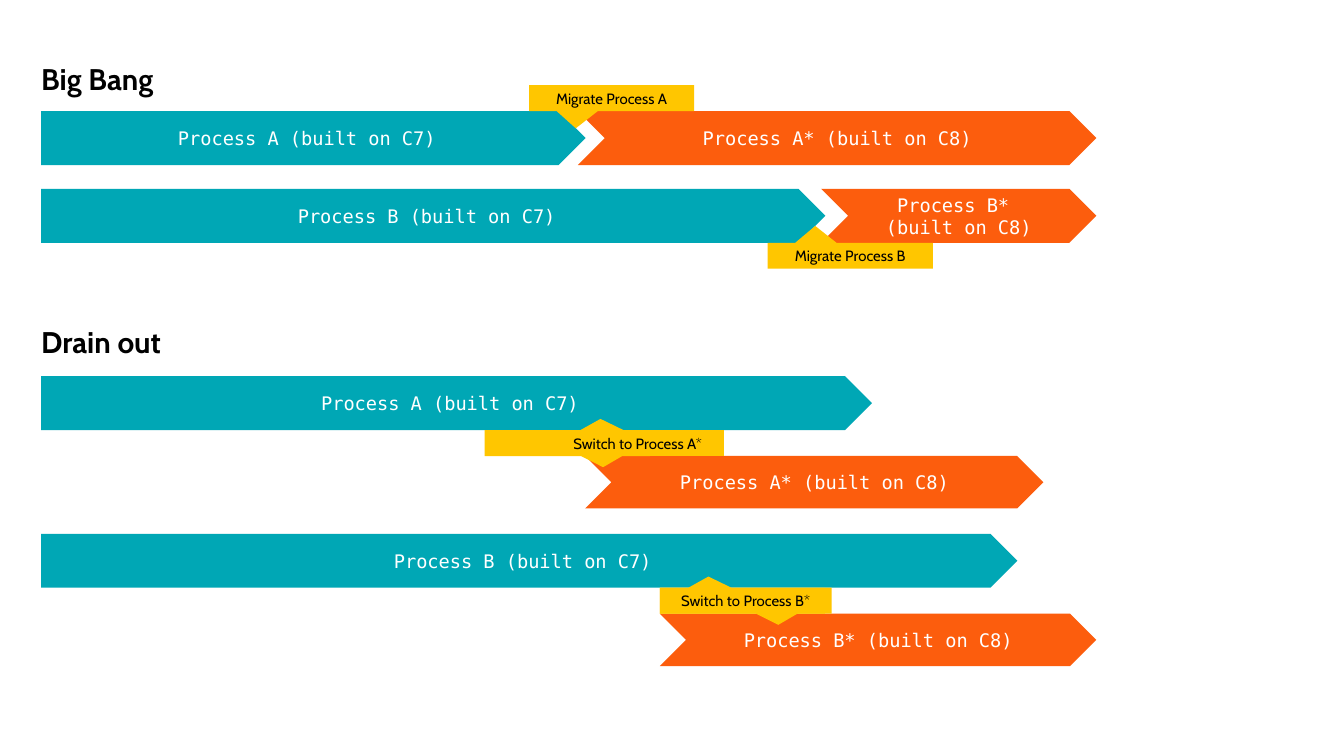
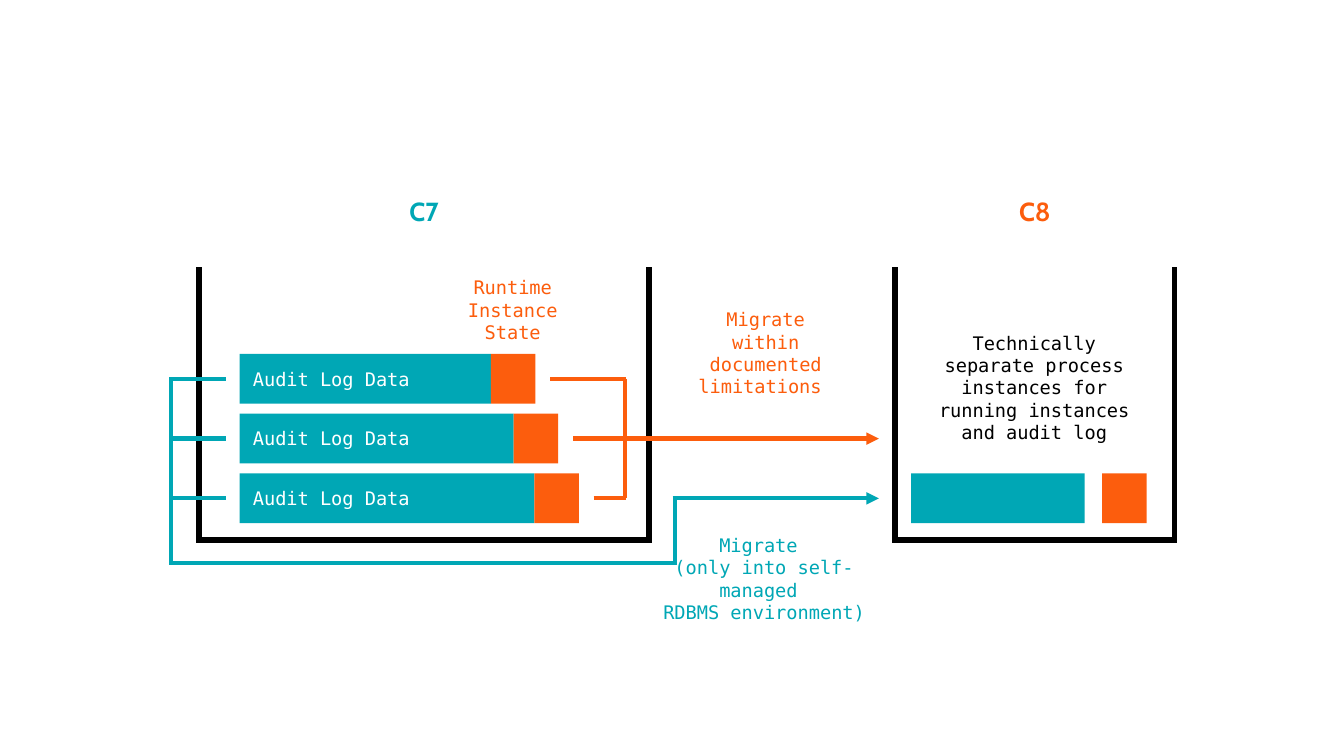
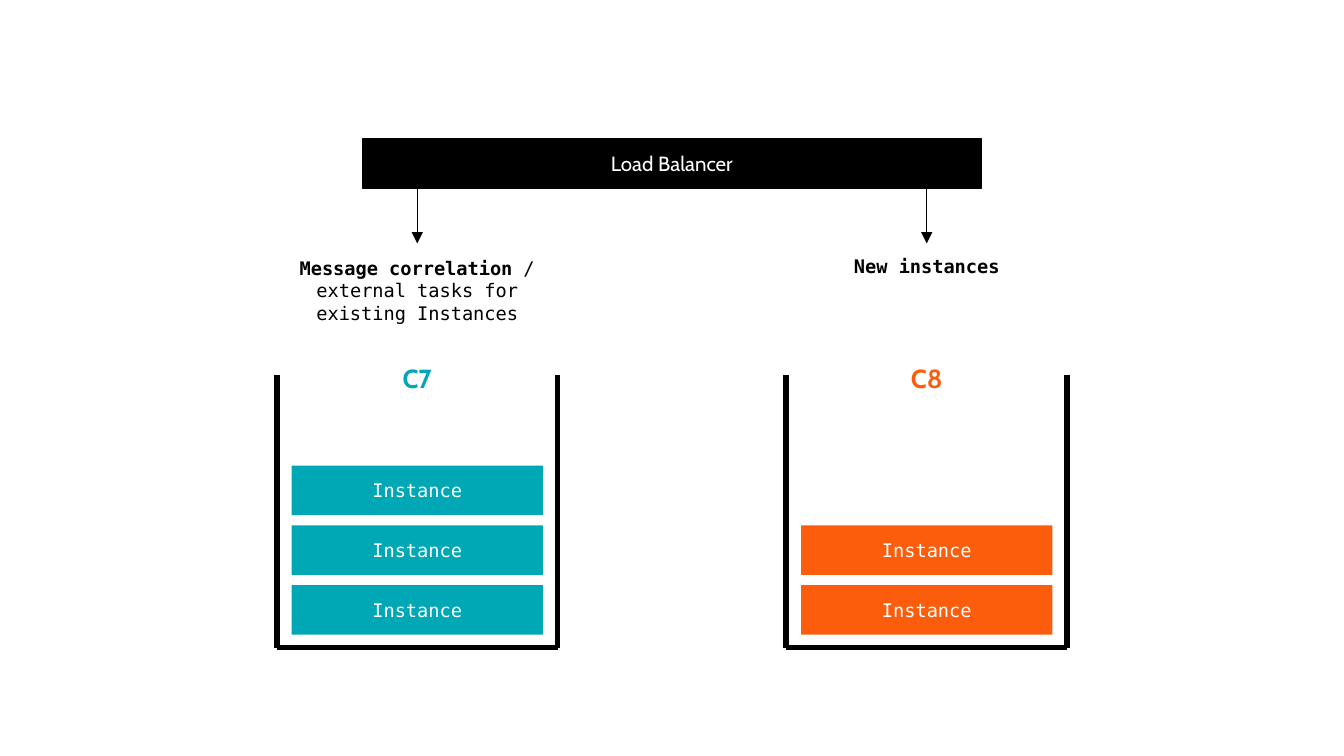
from dataclasses import dataclass
from typing import Any, Optional

import lxml.etree
import pptx
import pptx.dml.color
import pptx.enum.shapes
import pptx.enum.text
import pptx.oxml.ns
import pptx.util

Cm = pptx.util.Cm
Pt = pptx.util.Pt
Preset = pptx.enum.shapes.MSO_SHAPE
Align = pptx.enum.text.PP_ALIGN
Anchor = pptx.enum.text.MSO_ANCHOR


@dataclass(frozen=True)
class Theme:
    teal: str = "00A7B5"
    orange: str = "FC5D0D"
    yellow: str = "FFC600"
    black: str = "000000"
    white: str = "FFFFFF"
    sans: str = "Cabin"
    mono: str = "DejaVu Sans Mono"
    heading_size: float = 16
    platform_size: float = 14
    balancer_size: float = 11
    body_size: float = 10
    callout_size: float = 8
    wall_width: float = 3
    flow_width: float = 2.25
    thin_width: float = 0.75
    inset: float = 0.25


THEME = Theme()


@dataclass(frozen=True)
class Style:
    color: str = THEME.white
    size: float = THEME.body_size
    font: str = THEME.mono
    bold: bool = False
    align: Any = Align.CENTER
    anchor: Any = Anchor.MIDDLE
    inset: float = THEME.inset
    grow: bool = False


BODY = Style()
LOG = Style(align=Align.LEFT)
HEADING = Style(THEME.black, THEME.heading_size, THEME.sans, True, Align.LEFT, Anchor.TOP, 0)
CALLOUT = Style(THEME.black, THEME.callout_size, THEME.sans)
BALANCER = Style(THEME.white, THEME.balancer_size, THEME.sans)
ROUTE = Style(THEME.black, anchor=Anchor.TOP, grow=True)


@dataclass(frozen=True)
class Box:
    left: float
    top: float
    width: float
    height: float

    def lengths(self) -> list:
        return [Cm(value) for value in (self.left, self.top, self.width, self.height)]


@dataclass(frozen=True)
class Callout:
    box: Box
    text: str
    tip: tuple[float, float]
    rotation: float = 0


@dataclass(frozen=True)
class Switch:
    top: float
    old_text: str
    old_width: float
    new_text: str
    new_left: float
    new_width: float
    callout_text: str
    callout_left: float
    lower_left: float


@dataclass(frozen=True)
class BigBang:
    top: float
    old_text: str
    old_width: float
    new_text: str
    new_left: float
    callout: Callout


@dataclass(frozen=True)
class Bin:
    name: str
    color: str
    left: float
    right: float
    top: float
    base: float
    foot: float
    name_top: float

    @property
    def center(self) -> float:
        return (self.left + self.right) / 2


@dataclass(frozen=True)
class Segment:
    start: tuple[float, float]
    end: tuple[float, float]
    color: str
    width: float = THEME.flow_width
    arrow: bool = False


def apply(target: Any, values: dict[str, Any]) -> None:
    for name, value in values.items():
        setattr(target, name, value)


def rgb(color: str) -> pptx.dml.color.RGBColor:
    return pptx.dml.color.RGBColor.from_string(color)


def write_text(shape: Any, text: str, style: Style, lead: str = "") -> None:
    frame = shape.text_frame
    sides = ("margin_left", "margin_top", "margin_right", "margin_bottom")
    fit = pptx.enum.text.MSO_AUTO_SIZE
    apply(frame, {
        **{side: Cm(style.inset) for side in sides},
        "word_wrap": True,
        "vertical_anchor": style.anchor,
        "auto_size": fit.SHAPE_TO_FIT_TEXT if style.grow else fit.NONE,
    })
    for index, line in enumerate(text.split("\n")):
        paragraph = frame.add_paragraph() if index else frame.paragraphs[0]
        paragraph.alignment = style.align
        pieces = [(line, style.bold)]
        if lead and index == 0:
            pieces.insert(0, (lead, True))
        for content, bold in pieces:
            run = paragraph.add_run()
            run.text = content
            apply(run.font, {"size": Pt(style.size), "name": style.font, "bold": bold})
            run.font.color.rgb = rgb(style.color)


def draw_text(slide: Any, box: Box, text: str, style: Style, lead: str = "") -> None:
    write_text(slide.shapes.add_textbox(*box.lengths()), text, style, lead)


def draw_shape(slide: Any, preset: Any, box: Box, fill: str, text: str = "",
               style: Style = BODY, outline: Optional[str] = None) -> Any:
    shape = slide.shapes.add_shape(preset, *box.lengths())
    shape.shadow.inherit = False
    shape.fill.solid()
    shape.fill.fore_color.rgb = rgb(fill)
    if outline:
        shape.line.color.rgb = rgb(outline)
        shape.line.width = Pt(THEME.thin_width)
    else:
        shape.line.fill.background()
    if text:
        write_text(shape, text, style)
    return shape


def draw_segment(slide: Any, segment: Segment) -> None:
    points = [Cm(value) for value in (*segment.start, *segment.end)]
    connector = slide.shapes.add_connector(pptx.enum.shapes.MSO_CONNECTOR.STRAIGHT, *points)
    connector.line.color.rgb = rgb(segment.color)
    connector.line.width = Pt(segment.width)
    properties = connector._element.spPr
    qn = pptx.oxml.ns.qn
    if segment.arrow:
        lxml.etree.SubElement(properties.find(qn("a:ln")), qn("a:tailEnd"), type="triangle")
    lxml.etree.SubElement(properties, qn("a:effectLst"))


def draw_callout(slide: Any, callout: Callout) -> None:
    shape = draw_shape(slide, Preset.RECTANGULAR_CALLOUT, callout.box, THEME.yellow,
                       callout.text, CALLOUT)
    shape.rotation = callout.rotation
    for index, value in enumerate(callout.tip):
        shape.adjustments[index] = value


def draw_bin(slide: Any, container: Bin) -> None:
    walls = [((x, container.top), (x, container.foot)) for x in (container.left, container.right)]
    floor = ((container.left, container.base), (container.right, container.base))
    for start, end in (*walls, floor):
        draw_segment(slide, Segment(start, end, THEME.black, THEME.wall_width))
    style = Style(container.color, THEME.platform_size, THEME.sans, True,
                  anchor=Anchor.TOP, grow=True)
    draw_text(slide, Box(container.center - 0.725, container.name_top, 1.45, 1.12),
              container.name, style)


BAR_LEFT, BAR_HEIGHT = 0.78, 1.02
CALLOUT_WIDTH, CALLOUT_HEIGHT = 3.12, 0.49
BIG_BANG_END = 20.72

BIG_BANGS = (
    BigBang(2.1, "Process A (built on C7)", 10.29, "Process A* (built on C8)", 10.92,
            Callout(Box(10, 1.61, CALLOUT_WIDTH, CALLOUT_HEIGHT),
                    "Migrate Process A", (-0.217, 1.166))),
    BigBang(3.57, "Process B (built on C7)", 14.82, "Process B* \n(built on C8)", 15.52,
            Callout(Box(14.51, 4.59, CALLOUT_WIDTH, CALLOUT_HEIGHT),
                    "Migrate Process B", (-0.212, -1.149))),
)
SWITCHES = (
    Switch(7.11, "Process A (built on C7)", 15.7, "Process A* (built on C8)", 11.06, 8.66,
           "Switch to Process A*", 10.43, 9.16),
    Switch(10.09, "Process B (built on C7)", 18.45, "Process B* (built on C8)", 12.47, 8.25,
           "Switch to Process B*", 12.47, 12.47),
)


def build_strategies(slide: Any) -> None:
    for top, text in ((1.14, "Big Bang"), (6.12, "Drain out")):
        draw_text(slide, Box(BAR_LEFT, top, 4.04, 0.89), text, HEADING)
    for plan in (*BIG_BANGS, *SWITCHES):
        draw_shape(slide, Preset.PENTAGON, Box(BAR_LEFT, plan.top, plan.old_width, BAR_HEIGHT),
                   THEME.teal, plan.old_text)
    for plan in BIG_BANGS:
        draw_shape(slide, Preset.CHEVRON,
                   Box(plan.new_left, plan.top, BIG_BANG_END - plan.new_left, BAR_HEIGHT),
                   THEME.orange, plan.new_text)
        draw_callout(slide, plan.callout)
    for plan in SWITCHES:
        draw_shape(slide, Preset.CHEVRON, Box(plan.new_left, plan.top + 1.51, plan.new_width, 0.99),
                   THEME.orange, plan.new_text)
        top, tip = plan.top + BAR_HEIGHT, (-0.217, -0.931)
        draw_callout(slide, Callout(Box(plan.lower_left, top, CALLOUT_WIDTH, CALLOUT_HEIGHT),
                                    "", tip, 180))
        draw_callout(slide, Callout(Box(plan.callout_left, top, 3.25, CALLOUT_HEIGHT),
                                    plan.callout_text, tip))


ROW_HEIGHT, ROW_PITCH = 0.94, 1.13
STATE_WIDTH = 0.84
INSTANCE_WIDTH = 4.75


def build_data_migration(slide: Any) -> None:
    for container in (Bin("C7", THEME.teal, 3.76, 12.27, 5.05, 10.21, 10.26, 3.45),
                      Bin("C8", THEME.orange, 16.92, 22.2, 5.05, 10.21, 10.26, 3.45)):
        draw_bin(slide, container)

    log_left, first_top = 4.53, 6.69
    orange_spine, teal_spine, riser, arrow_end = 11.81, 3.23, 12.75, 16.61
    rows = [first_top + ROW_PITCH * index + ROW_HEIGHT / 2 for index in range(3)]
    segments = []
    for center, log_width in zip(rows, (4.75, 5.18, 5.57)):
        top, log_end = center - ROW_HEIGHT / 2, log_left + log_width
        draw_shape(slide, Preset.RECTANGLE, Box(log_left, top, log_width, ROW_HEIGHT),
                   THEME.teal, "Audit Log Data", LOG)
        draw_shape(slide, Preset.RECTANGLE, Box(log_end, top, STATE_WIDTH, ROW_HEIGHT),
                   THEME.orange)
        segments += [
            Segment((log_end + STATE_WIDTH + 0.28, center), (orange_spine + 0.03, center),
                    THEME.orange),
            Segment((teal_spine - 0.03, center), (4.27, center), THEME.teal),
        ]

    draw_shape(slide, Preset.RECTANGLE, Box(8.05, 5.21, 3.28, 1.3), THEME.white,
               "Runtime Instance State", Style(THEME.orange))
    for left, width, color in ((17.22, 3.28, THEME.teal), (20.83, STATE_WIDTH, THEME.orange)):
        draw_shape(slide, Preset.RECTANGLE,
                   Box(left, first_top + 2 * ROW_PITCH, width, ROW_HEIGHT), color)

    first, middle, last = rows
    detour = 10.64
    segments += [
        Segment((orange_spine, first), (orange_spine, middle), THEME.orange),
        Segment((orange_spine, middle), (orange_spine, last), THEME.orange),
        Segment((orange_spine, middle), (arrow_end, middle), THEME.orange, arrow=True),
        Segment((teal_spine, first), (teal_spine, middle), THEME.teal),
        Segment((teal_spine, middle), (teal_spine, detour), THEME.teal),
        Segment((teal_spine - 0.03, detour), (riser + 0.04, detour), THEME.teal),
        Segment((riser, last), (riser, detour + 0.04), THEME.teal),
        Segment((riser - 0.04, last), (arrow_end, last), THEME.teal, arrow=True),
    ]
    for segment in segments:
        draw_segment(slide, segment)

    notes = (
        (Box(12.83, 5.69, 3.28, 1.96), "Migrate within documented limitations ", THEME.orange),
        (Box(12.27, 9.6, 4.34, 2.67),
         "Migrate \n(only into self-managed \nRDBMS environment)", THEME.teal),
        (Box(17.32, 5.99, 4.45, 2.67),
         "Technically separate process instances for running instances and audit log",
         THEME.black),
    )
    for box, text, color in notes:
        draw_text(slide, box, text, Style(color))


def build_load_balancing(slide: Any) -> None:
    balancer = Box(6.86, 2.62, 11.68, ROW_HEIGHT)
    draw_shape(slide, Preset.RECTANGLE, balancer, THEME.black, "Load Balancer", BALANCER,
               THEME.black)
    route_top = 4.6
    targets = (
        (Bin("C7", THEME.teal, 5.23, 10.54, 7.09, 12.24, 12.24, 6.6), 3,
         "Message correlation", " / external tasks for existing Instances", 1.8),
        (Bin("C8", THEME.orange, 14.86, 20.17, 7.09, 12.24, 12.24, 6.6), 2,
         "New instances", "", 0.94),
    )
    for container, count, lead, rest, height in targets:
        draw_bin(slide, container)
        for index in range(count):
            box = Box(container.center - INSTANCE_WIDTH / 2, 11.06 - ROW_PITCH * index,
                      INSTANCE_WIDTH, ROW_HEIGHT)
            draw_shape(slide, Preset.RECTANGLE, box, container.color, "Instance")
        draw_segment(slide, Segment((container.center, balancer.top + balancer.height),
                                    (container.center, route_top), THEME.black,
                                    THEME.thin_width, True))
        draw_text(slide, Box(container.left, route_top, container.right - container.left, height),
                  rest, ROUTE, lead)


def main() -> None:
    presentation = pptx.Presentation()
    apply(presentation, {"slide_width": Cm(25.4), "slide_height": Cm(14.29)})
    for build in (build_strategies, build_data_migration, build_load_balancing):
        build(presentation.slides.add_slide(presentation.slide_layouts[6]))
    presentation.save("out.pptx")


if __name__ == "__main__":
    main()
